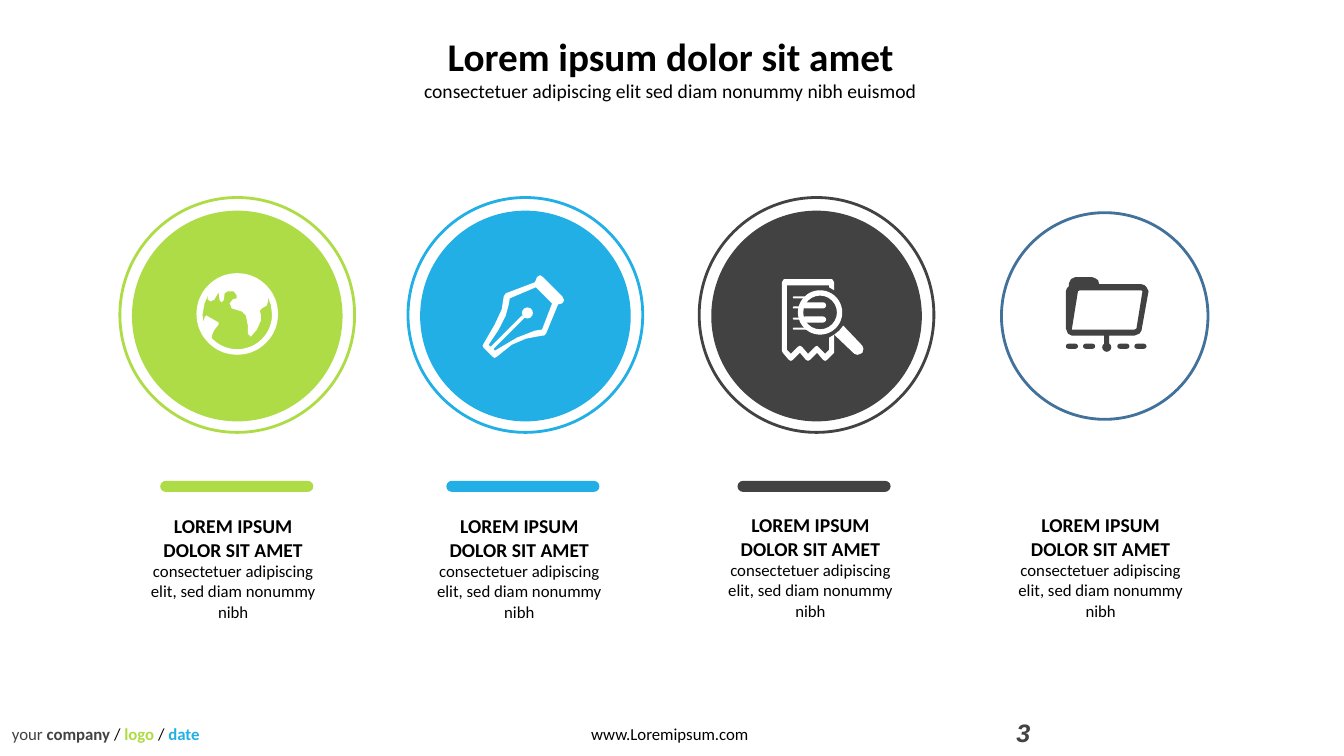
import math
from pptx import Presentation
from pptx.dml.color import RGBColor
from pptx.enum.shapes import MSO_SHAPE
from pptx.enum.text import MSO_ANCHOR, MSO_AUTO_SIZE, PP_ALIGN
from pptx.util import Pt

PX = 9144
GREEN = RGBColor(0xAE, 0xDC, 0x46)
BLUE = RGBColor(0x21, 0xAF, 0xE6)
DARK = RGBColor(0x42, 0x42, 0x42)
STEEL = RGBColor(0x42, 0x71, 0x9B)
WHITE = RGBColor(0xFF, 0xFF, 0xFF)
BLACK = RGBColor(0, 0, 0)
OVAL, PILL, DONUT = MSO_SHAPE.OVAL, MSO_SHAPE.ROUNDED_RECTANGLE, MSO_SHAPE.DONUT
CENTER, TOP, FIXED = PP_ALIGN.CENTER, MSO_ANCHOR.TOP, MSO_AUTO_SIZE.NONE

prs = Presentation()
prs.slide_width, prs.slide_height = 1334 * PX, 750 * PX
slide = prs.slides.add_slide(prs.slide_layouts[5])
shapes = slide.shapes


def draw(preset, box, fill, line=None, adjust=None):
    shape = shapes.add_shape(preset, *[v * PX for v in box])
    shape.shadow.inherit = False
    shape.fill.solid()
    shape.fill.fore_color.rgb = fill
    if line is None:
        shape.line.fill.background()
    else:
        shape.line.color.rgb = line
        shape.line.width = Pt(2)
    if adjust is not None:
        shape.adjustments[0] = adjust


def outline(contours, fill):
    fine = [[(x * 10, y * 10) for x, y in contour] for contour in contours]
    builder = shapes.build_freeform(*fine[0][0], scale=PX / 10)
    builder.add_line_segments(fine[0][1:], close=True)
    for contour in fine[1:]:
        builder.move_to(*contour[0])
        builder.add_line_segments(contour[1:], close=True)
    shape = builder.convert_to_shape()
    shape.shadow.inherit = False
    shape.fill.solid()
    shape.fill.fore_color.rgb = fill
    shape.line.fill.background()


title = shapes.title
title.left, title.top, title.width, title.height = [v * PX for v in (398, 27, 535, 80)]
captions = [(title.text_frame, "Lorem ipsum dolor sit amet", 28,
             "consectetuer adipiscing elit sed diam nonummy nibh euismod", 14)]

for ring_left, caption_left, caption_top, color in [
    (119, 138, 505, GREEN),
    (405, 422, 505, BLUE),
    (694, 711, 504, DARK),
    (980, 999, 504, None),
]:
    if color is None:
        draw(OVAL, (ring_left + 14, 211, 205, 205), WHITE, STEEL)
    else:
        draw(OVAL, (ring_left, 196, 233, 233), WHITE, color)
        draw(OVAL, (ring_left + 12, 209, 209, 209), color)
        draw(PILL, (caption_left + 21, 477, 152, 11), color, adjust=0.5)
    caption = shapes.add_textbox(caption_left * PX, caption_top * PX, 187 * PX, 117 * PX)
    captions.append((caption.text_frame, "LOREM IPSUM DOLOR SIT AMET", 14,
                     "consectetuer adipiscing elit, sed diam nonummy nibh", 12))

for frame, heading, heading_size, body, body_size in captions:
    frame.word_wrap = True
    frame.auto_size = FIXED
    frame.vertical_anchor = TOP
    frame.text = heading + "\n" + body
    for paragraph, size, bold in zip(frame.paragraphs, (heading_size, body_size), (True, False)):
        paragraph.alignment = CENTER
        font = paragraph.font
        font.name, font.size, font.bold = "Calibri", Pt(size), bold
        font.color.rgb = BLACK

for box, family, size, italic, runs in [
    ((577, 713, 177, 30), "Calibri", 12, False, [("www.Loremipsum.com", BLACK, False)]),
    ((2, 713, 207, 30), "Calibri", 12, False, [
        ("your ", DARK, False), ("company ", DARK, True), ("/ ", BLACK, False),
        ("logo ", GREEN, True), ("/ ", BLACK, False), ("date", BLUE, True)]),
    ((999, 707, 300, 40), "Arial", 18, True, [("3", DARK, True)]),
]:
    frame = shapes.add_textbox(*[v * PX for v in box]).text_frame
    frame.word_wrap = italic
    paragraph = frame.paragraphs[0]
    paragraph.font.name, paragraph.font.size, paragraph.font.italic = family, Pt(size), italic
    for text, color, bold in runs:
        run = paragraph.add_run()
        run.text = text
        run.font.bold = bold
        run.font.color.rgb = color

turn = [math.radians(a) for a in range(0, 360, 5)]
globe = [(235.5 + 40.5 * math.cos(a), 311.5 + 40.5 * math.sin(a)) for a in turn]
shore = [(235.5 + 34.5 * math.cos(a), 312 + 34.5 * math.sin(a)) for a in turn[:28]]
ocean = shore + [
    (210, 335), (211, 331), (213, 327), (217, 322), (217, 320), (210, 316), (205, 313),
    (203, 315), (202, 320), (201, 312), (203, 301), (207, 292), (206, 297), (209, 299),
    (213, 297), (214, 295), (217, 290), (218, 298), (220, 300), (222, 298), (223, 291),
    (226, 289), (232, 289), (235, 293), (235, 296), (231, 297), (228, 301), (230, 306),
    (240, 309), (244, 313), (246, 323), (246, 331), (249, 334), (255, 327), (259, 318),
    (259, 313), (258, 308), (260, 306), (265, 303), (266, 299), (266, 295), (269, 303)]
outline([globe, ocean], WHITE)

pen = [
    (558, 294), (539, 275), (536, 273), (533, 275), (531, 280), (502, 291), (500, 294),
    (498, 307), (491, 322), (480, 341), (479, 343), (480, 345), (489, 354), (491, 355),
    (493, 354), (508, 342), (522, 336), (538, 333), (540, 333), (542, 331), (554, 302),
    (558, 301), (560, 298)]
pen_hollow = [
    (538, 327), (531, 328), (513, 335), (491, 348), (490, 346), (521, 315), (518, 313),
    (487, 344), (485, 342), (495, 327), (502, 313), (505, 302), (506, 296), (532, 285),
    (548, 301)]
outline([pen, pen_hollow], WHITE)
draw(OVAL, (518, 305, 11, 11), WHITE)

receipt = [
    (823, 347), (819, 351), (812, 344), (811, 343), (809, 344), (802, 351), (796, 344),
    (794, 343), (792, 344), (785, 351), (781, 347), (781, 283), (823, 283), (823, 285),
    (828, 288), (828, 280), (826, 277), (778, 277), (776, 280), (776, 348), (777, 350),
    (783, 357), (785, 358), (787, 357), (794, 350), (800, 357), (802, 358), (804, 357),
    (811, 350), (817, 357), (819, 358), (821, 357), (828, 350), (828, 332), (823, 335)]
outline([receipt], WHITE)
draw(DONUT, (792, 288, 44, 44), WHITE, adjust=0.12)
for line_top, line_width in [(294, 12), (304, 7), (315, 7), (325, 15)]:
    draw(PILL, (787, line_top, line_width, 2), WHITE, adjust=0.5)
for bar_top in (300, 314):
    draw(PILL, (796, bar_top, 24, 6), WHITE, adjust=0.5)
handle = [
    (837, 323), (856, 343), (857, 346), (856, 350), (854, 351), (851, 352), (848, 351),
    (828, 332), (833, 328)]
outline([handle], WHITE)

folder = [
    (1138, 285), (1136, 283), (1133, 282), (1091, 282), (1090, 278), (1087, 276),
    (1084, 275), (1067, 275), (1063, 277), (1061, 281), (1061, 284), (1059, 286),
    (1058, 289), (1058, 326), (1060, 331), (1064, 333), (1096, 333), (1096, 342),
    (1101, 342), (1101, 333), (1126, 333), (1131, 331), (1133, 328), (1140, 289)]
folder_front = [
    (1128, 326), (1126, 327), (1064, 327), (1064, 326), (1070, 289), (1072, 288),
    (1133, 288), (1134, 289)]
outline([folder, folder_front], DARK)
draw(OVAL, (1094, 340, 9, 9), DARK)
for dash_left in (1058, 1075, 1109, 1126):
    draw(PILL, (dash_left, 341, 12, 5), DARK, adjust=0.5)

prs.save("out.pptx")
